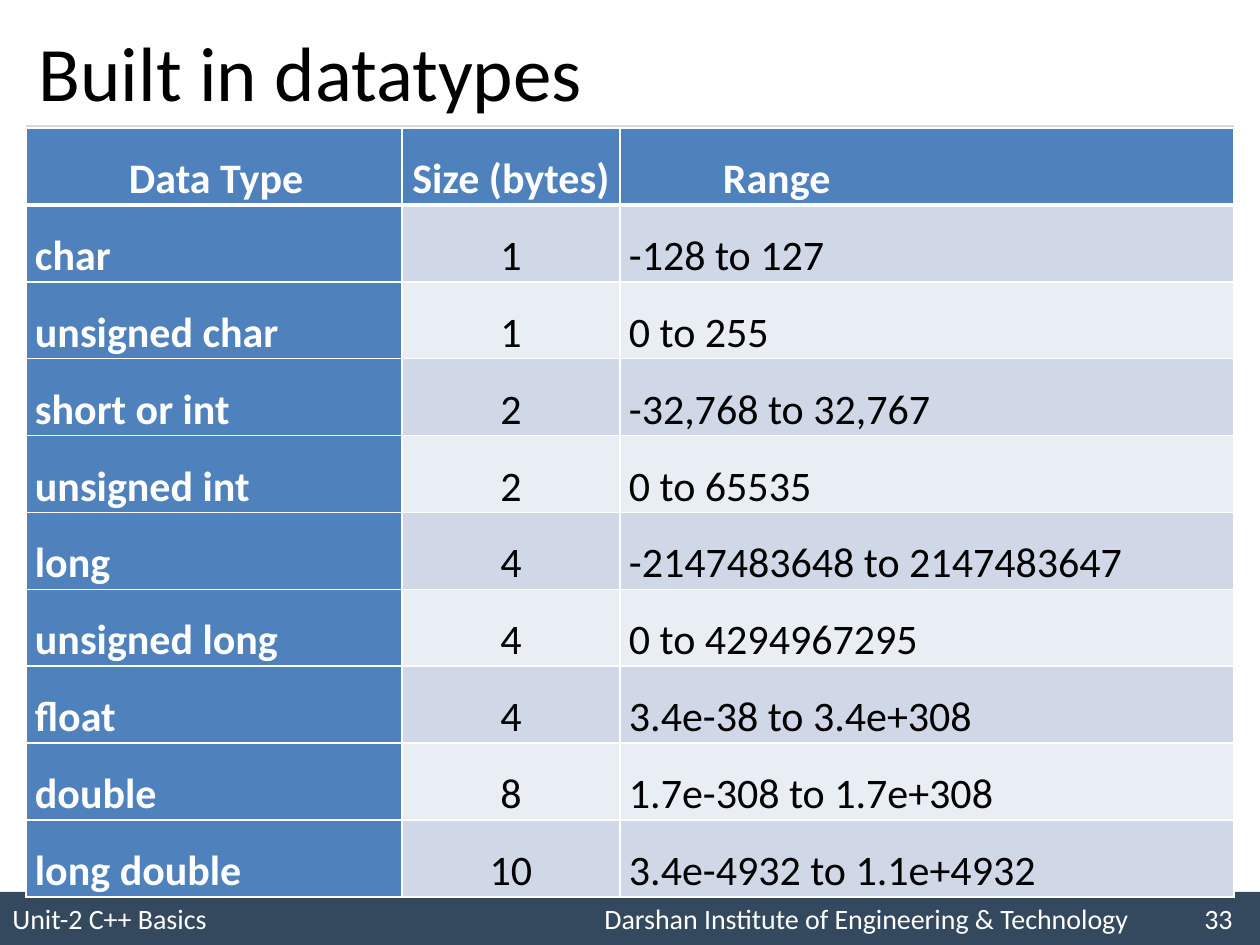
from dataclasses import dataclass
from lxml.etree import SubElement
from pptx import Presentation
from pptx.dml.color import RGBColor as RGB
from pptx.enum.shapes import MSO_CONNECTOR as Connector, MSO_SHAPE as Shape
from pptx.enum.text import MSO_ANCHOR as Anchor, MSO_AUTO_SIZE as AutoSize, PP_ALIGN as Align
from pptx.oxml.ns import qn
from pptx.util import Pt

PX = 914400 // 126


@dataclass
class Theme:
    font: str = "Calibri"
    ink: str = "000000"
    white: str = "FFFFFF"
    rule: str = "D9D9D9"
    footer: str = "34495E"
    header: str = "4F81BD"
    bands: tuple = ("D0D8E8", "E9EDF4")
    title_size: int = 44
    table_size: int = 24
    footer_size: int = 16


theme = Theme()


def add_run(para, text, size, color, bold=False):
    span = para.add_run()
    span.text = text
    span.font.name = theme.font
    span.font.size = Pt(size)
    span.font.bold = bold
    span.font.color.rgb = RGB.from_string(color)


def add_border(cell, side, width):
    line = SubElement(cell._tc.get_or_add_tcPr(), qn(f"a:ln{side}"), w=str(Pt(width)))
    fill = SubElement(line, qn("a:solidFill"))
    SubElement(fill, qn("a:srgbClr"), val=theme.white)


deck = Presentation()
deck.slide_width, deck.slide_height = 1260 * PX, 945 * PX
page = deck.slides.add_slide(deck.slide_layouts[5])

# Footer bar, its three parts set apart by tab stops
footer = page.shapes.add_shape(Shape.RECTANGLE, 0, 892 * PX, 1260 * PX, 53 * PX)
footer.shadow.inherit = False
footer.fill.solid()
footer.fill.fore_color.rgb = RGB.from_string(theme.footer)
footer.line.fill.background()
footer.text_frame.vertical_anchor = Anchor.MIDDLE
para = footer.text_frame.paragraphs[0]
para.alignment = Align.LEFT
tabs = SubElement(para._p.get_or_add_pPr(), qn("a:tabLst"))
for stop in (592, 1192):
    SubElement(tabs, qn("a:tab"), pos=str(stop * PX), algn="l")
add_run(para, "Unit-2 C++ Basics\tDarshan Institute of Engineering & Technology\t33",
        theme.footer_size, theme.white)

# Rule under the title
rule = page.shapes.add_connector(Connector.STRAIGHT, 26 * PX, 126 * PX, 1234 * PX, 126 * PX)
rule.line.color.rgb = RGB.from_string(theme.rule)
rule.line.width = Pt(0.75)
SubElement(rule._element.spPr, qn("a:effectLst"))

# Title
title = page.shapes.title
title.left, title.top, title.width, title.height = 26 * PX, 15 * PX, 1208 * PX, 111 * PX
frame = title.text_frame
frame.word_wrap = True
frame.auto_size = AutoSize.NONE
frame.vertical_anchor = Anchor.MIDDLE
frame.paragraphs[0].alignment = Align.LEFT
add_run(frame.paragraphs[0], "Built in datatypes", theme.title_size, theme.ink)

# Table of data types
rows = [
    ("Data Type", "Size (bytes)", "Range"),
    ("char", "1", "-128 to 127"),
    ("unsigned char", "1", "0 to 255"),
    ("short or int", "2", "-32,768 to 32,767"),
    ("unsigned int", "2", "0 to 65535"),
    ("long", "4", "-2147483648 to 2147483647"),
    ("unsigned long", "4", "0 to 4294967295"),
    ("float", "4", "3.4e-38 to 3.4e+308"),
    ("double", "8", "1.7e-308 to 1.7e+308"),
    ("long double", "10", "3.4e-4932 to 1.1e+4932"),
]
widths = (376, 218, 614)
row_height = 72
table = page.shapes.add_table(len(rows), len(widths), 26 * PX, 128 * PX, sum(widths) * PX,
                              len(rows) * row_height * PX).table
for column, width in zip(table.columns, widths):
    column.width = width * PX

for r, row in enumerate(rows):
    table.rows[r].height = row_height * PX
    for c, text in enumerate(row):
        cell = table.cell(r, c)
        strong = r == 0 or c == 0
        cell.margin_left = cell.margin_right = 9 * PX
        cell.margin_top = cell.margin_bottom = 0

        # Borders, thicker under the header row
        add_border(cell, "L", 1)
        add_border(cell, "R", 1)
        add_border(cell, "T", 3 if r == 1 else 1)
        add_border(cell, "B", 3 if r == 0 else 1)
        cell.fill.solid()
        cell.fill.fore_color.rgb = RGB.from_string(
            theme.header if strong else theme.bands[(r - 1) % 2])

        para = cell.text_frame.paragraphs[0]
        para.line_spacing = 1.5
        para.alignment = Align.CENTER if c == 1 else Align.LEFT
        if r == 0 and c != 1:
            para._p.get_or_add_pPr().set("marL", str(94 * PX))
        add_run(para, text, theme.table_size, theme.white if strong else theme.ink, strong)

deck.save("out.pptx")
